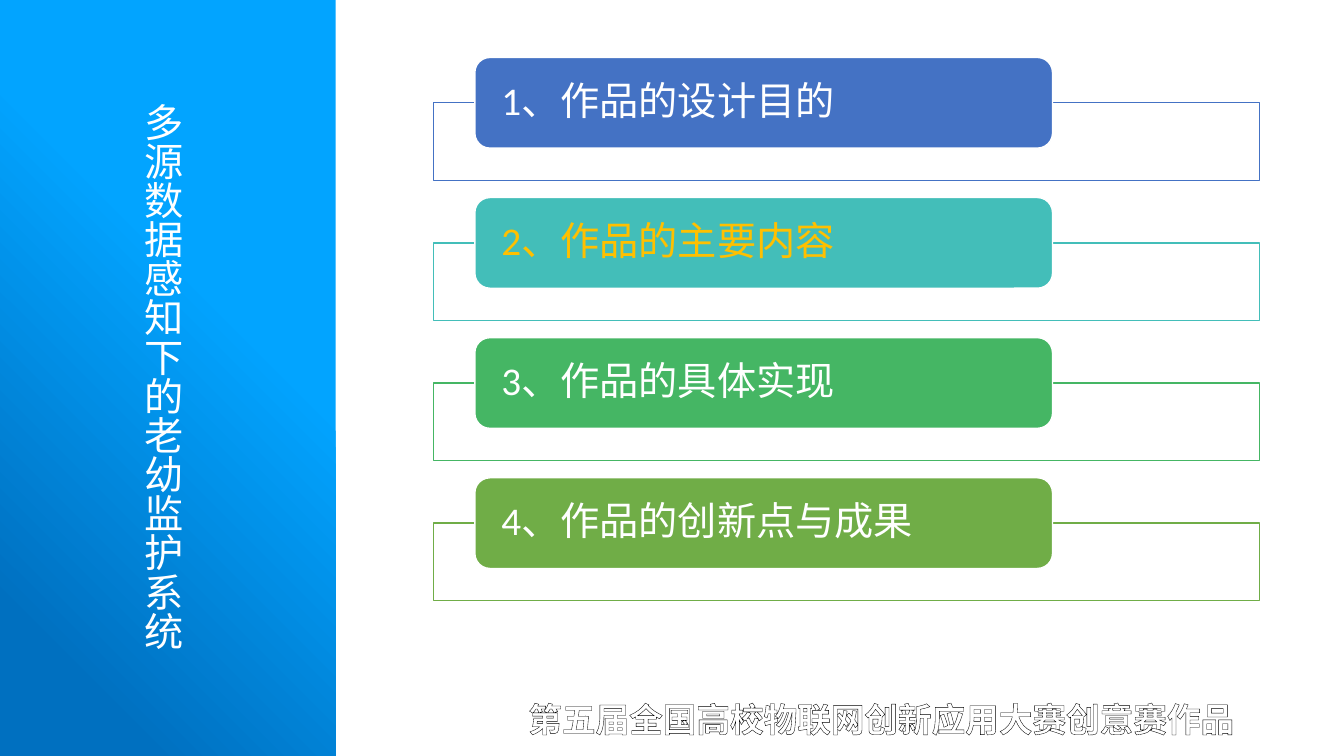
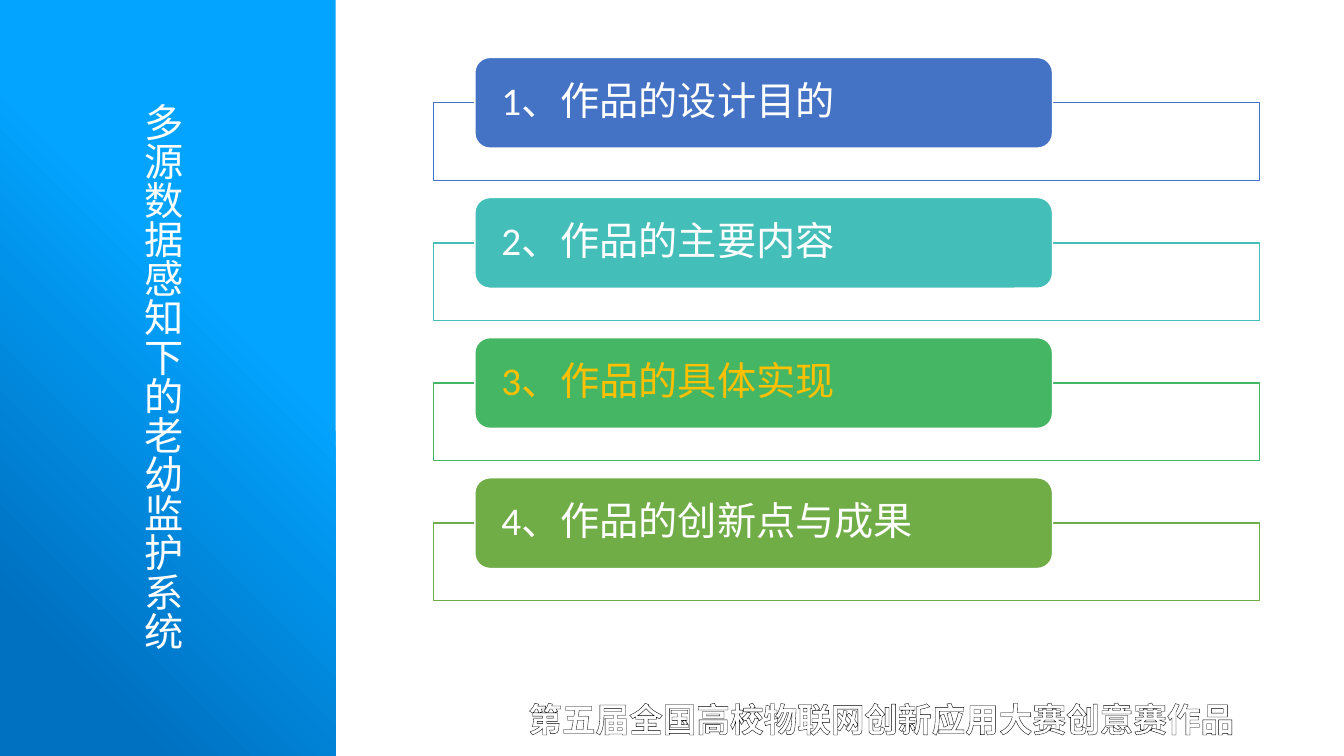
from lxml import etree
from pptx import Presentation
from pptx.dml.color import RGBColor
from pptx.enum.shapes import MSO_SHAPE
from pptx.enum.text import MSO_ANCHOR, MSO_AUTO_SIZE, PP_ALIGN
from pptx.oxml.ns import qn
from pptx.util import Inches, Pt

RECT, ROUNDED = MSO_SHAPE.RECTANGLE, MSO_SHAPE.ROUNDED_RECTANGLE
TOP, MIDDLE = MSO_ANCHOR.TOP, MSO_ANCHOR.MIDDLE
LEFT, CENTER = PP_ALIGN.LEFT, PP_ALIGN.CENTER
FIXED_SIZE = MSO_AUTO_SIZE.NONE

# Shared look
LATIN_FONT, CJK_FONT = "Calibri", "Noto Sans CJK SC"
WHITE, BLACK, HIGHLIGHT = "FFFFFF", "000000", "FFC000"
BAND_STOPS = [(0.38, "02A4FF"), (0.86, "0070C0")]
SLIDE_WIDTH, SLIDE_HEIGHT = 13.33, 7.5

# Shared wording
TITLE = "多源数据感知下的老幼监护系统"
FOOTER = "第五届全国高校物联网创新应用大赛创意赛作品"
TOPICS = [
    ("1、作品的设计目的", "4472C4"),
    ("2、作品的主要内容", "43BEB9"),
    ("3、作品的具体实现", "45B664"),
    ("4、作品的创新点与成果", "70AD47"),
]

# Agenda grid
FIRST_CARD_TOP, ROW_PITCH = 0.57, 1.39
CARD_LEFT, CARD_WIDTH, CARD_HEIGHT = 4.71, 5.73, 0.9
FRAME_LEFT, FRAME_WIDTH, FRAME_HEIGHT = 4.3, 8.19, 0.77


def rgb(value):
    return RGBColor.from_string(value)


def write(shape, text, size, color, font=LATIN_FONT, align=LEFT, anchor=TOP):
    """Put one styled paragraph into a shape and return it."""
    frame = shape.text_frame
    frame.word_wrap = True
    frame.auto_size = FIXED_SIZE
    frame.vertical_anchor = anchor
    paragraph = frame.paragraphs[0]
    paragraph.text = text
    paragraph.alignment = align
    paragraph.font.size = Pt(size)
    paragraph.font.name = font
    paragraph.font.color.rgb = rgb(color)
    for properties in shape.element.iter(qn("a:defRPr")):
        etree.SubElement(properties, qn("a:ea"), typeface=CJK_FONT)
    return paragraph


def add_block(slide, kind, left, top, width, height, fill=None, line=None):
    block = slide.shapes.add_shape(
        kind, Inches(left), Inches(top), Inches(width), Inches(height))
    block.shadow.inherit = False
    if fill:
        block.fill.solid()
        block.fill.fore_color.rgb = rgb(fill)
    if line:
        block.line.color.rgb = rgb(line)
        block.line.width = Pt(1)
    else:
        block.line.fill.background()
    return block


def add_title_band(slide):
    # Gradient band, placed behind the title
    band = add_block(slide, RECT, 0, 0, 3.33, SLIDE_HEIGHT)
    band.fill.gradient()
    band.fill.gradient_angle = 225
    for stop, (position, color) in zip(band.fill.gradient_stops, BAND_STOPS):
        stop.position = position
        stop.color.rgb = rgb(color)
    title = slide.shapes.title
    title.element.addprevious(band.element)

    # Vertical title
    title.left, title.top = Inches(0.97), Inches(0.97)
    title.width, title.height = Inches(0.98), Inches(5.7)
    write(title, TITLE, 28, WHITE)
    for body in title.element.iter(qn("a:bodyPr")):
        body.set("vert", "eaVert")


def add_footer(slide):
    footer = slide.shapes.add_textbox(
        Inches(4.85), Inches(6.88), Inches(7.78), Inches(0.6))
    paragraph = write(footer, FOOTER, 24, WHITE, CJK_FONT, CENTER)
    paragraph.runs[0].font.bold = True
    # Outlined letters
    for properties in footer.element.iter(qn("a:rPr")):
        outline = etree.Element(qn("a:ln"), w=str(Pt(1)))
        fill = etree.SubElement(outline, qn("a:solidFill"))
        etree.SubElement(fill, qn("a:srgbClr"), val=BLACK)
        properties.insert(0, outline)


def add_topic(slide, row, text, color, text_color):
    top = FIRST_CARD_TOP + row * ROW_PITCH
    # The frame starts at half the height of its card
    frame = add_block(slide, RECT, FRAME_LEFT, top + CARD_HEIGHT / 2,
                      FRAME_WIDTH, FRAME_HEIGHT, WHITE, color)
    fill_color = frame.element.spPr.find(qn("a:solidFill"))[0]
    etree.SubElement(fill_color, qn("a:alpha"), val="90000")

    card = add_block(slide, ROUNDED, CARD_LEFT, top,
                     CARD_WIDTH, CARD_HEIGHT, color, WHITE)
    paragraph = write(card, text, 28, text_color, anchor=MIDDLE)
    paragraph.line_spacing = 0.9
    margins = card.text_frame
    margins.margin_left = margins.margin_right = Inches(0.22)
    margins.margin_top = margins.margin_bottom = 0


def add_agenda_slide(deck, current):
    slide = deck.slides.add_slide(deck.slide_layouts[5])
    add_title_band(slide)
    add_footer(slide)
    for row, (text, color) in enumerate(TOPICS):
        add_topic(slide, row, text, color,
                  HIGHLIGHT if row == current else WHITE)


def main():
    deck = Presentation()
    deck.slide_width = Inches(SLIDE_WIDTH)
    deck.slide_height = Inches(SLIDE_HEIGHT)
    for current in (1, 2):
        add_agenda_slide(deck, current)
    deck.save("out.pptx")


if __name__ == "__main__":
    main()
